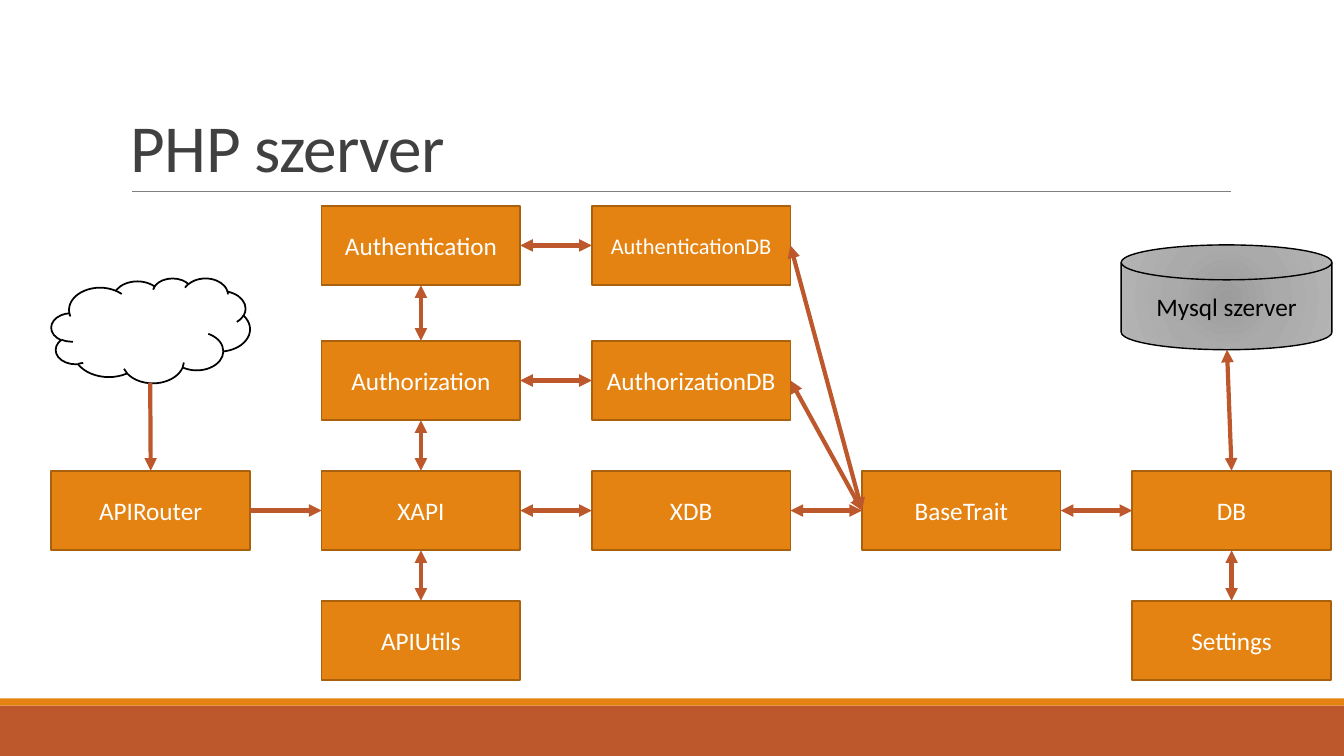
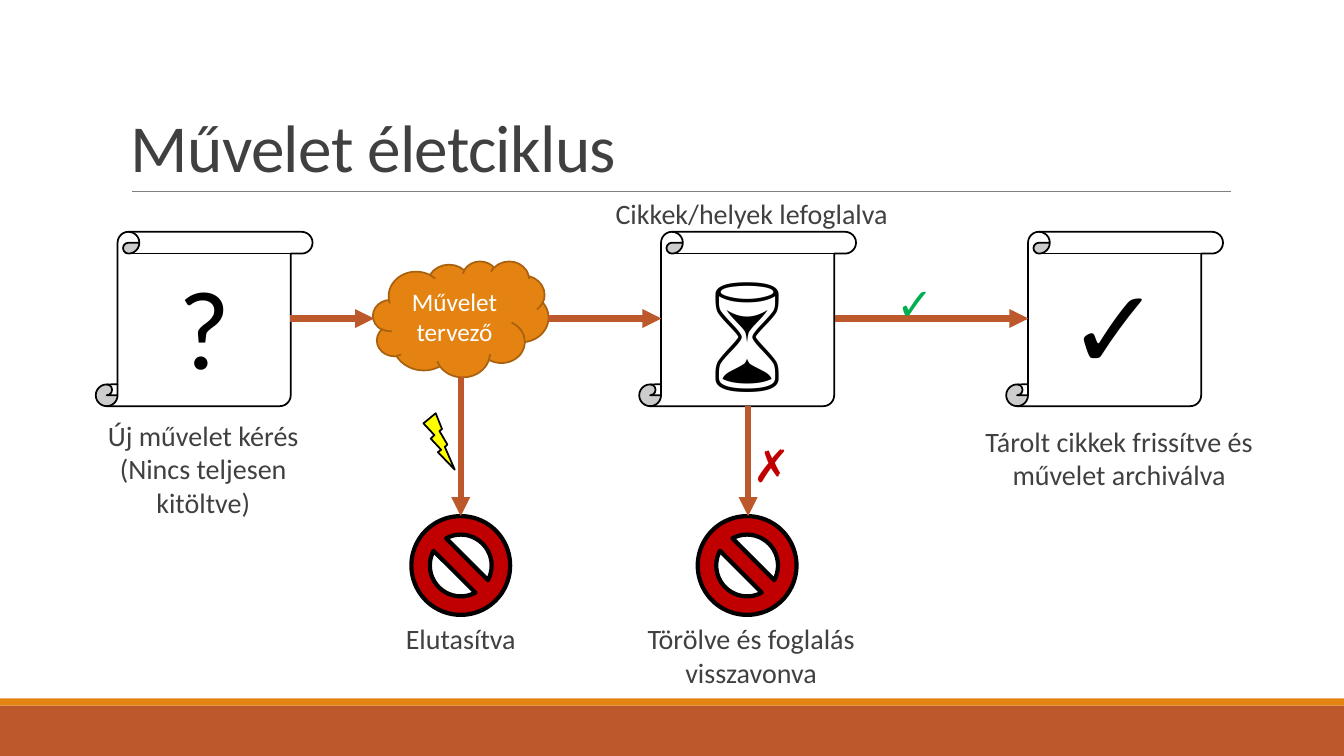
from pptx import Presentation
from pptx.dml.color import RGBColor
from pptx.enum.shapes import MSO_CONNECTOR, MSO_SHAPE
from pptx.enum.text import MSO_ANCHOR, PP_ALIGN
from pptx.oxml import parse_xml
from pptx.oxml.ns import nsdecls, qn
from pptx.util import Inches, Pt

TOP, LEFT, BOTTOM, RIGHT = range(4)


def color(value):
    return RGBColor.from_string(value)


def inches(values):
    return [Inches(value) for value in values]


class Deck:
    FONT = "Calibri"
    ORANGE, RUST, BROWN = "E48312", "BD582C", "A9610D"
    WHITE, BLACK, TEXT, GRAY = "FFFFFF", "000000", "404040", "808080"
    RED, GREEN, YELLOW = "C00000", "00B050", "FFFF00"

    def __init__(self):
        self.presentation = Presentation()
        self.presentation.slide_width = Inches(13.33)
        self.presentation.slide_height = Inches(7.5)
        self.slide = None

    def add_slide(self, title):
        self.slide = self.presentation.slides.add_slide(self.presentation.slide_layouts[6])
        self.shape(MSO_SHAPE.RECTANGLE, (0, 7, 13.33, 0.5), self.RUST)
        self.shape(MSO_SHAPE.RECTANGLE, (0, 6.93, 13.33, 0.07), self.ORANGE)
        self.line((1.31, 1.9), (12.21, 1.9), self.GRAY, 0.5)
        heading = self.label(title, (1.2, 0.31, 11, 1.59), size=48, align=PP_ALIGN.LEFT,
                             anchor=MSO_ANCHOR.BOTTOM)
        paragraph = heading.text_frame.paragraphs[0]
        paragraph.line_spacing = 0.85
        paragraph.runs[0].font._element.set("spc", "-50")

    def set_text(self, shape, text, ink, size, bold=False, align=PP_ALIGN.CENTER,
                 anchor=MSO_ANCHOR.MIDDLE):
        frame = shape.text_frame
        frame.text = text
        for name, value in {"word_wrap": True, "vertical_anchor": anchor}.items():
            setattr(frame, name, value)
        font_values = {"name": self.FONT, "size": Pt(size), "bold": bold}
        for paragraph in frame.paragraphs:
            paragraph.alignment = align
            for run in paragraph.runs:
                for name, value in font_values.items():
                    setattr(run.font, name, value)
                run.font.color.rgb = color(ink)

    def shape(self, kind, at, fill, outline=None, width=1.25, text="", ink=WHITE, size=18):
        shape = self.slide.shapes.add_shape(kind, *inches(at))
        shape.shadow.inherit = False
        shape.fill.solid()
        shape.fill.fore_color.rgb = color(fill)
        if outline:
            shape.line.color.rgb = color(outline)
            shape.line.width = Pt(width)
        else:
            shape.line.fill.background()
        if text:
            self.set_text(shape, text, ink, size)
        return shape

    def label(self, text, at, ink=TEXT, size=20, anchor=MSO_ANCHOR.TOP, **style):
        box = self.slide.shapes.add_textbox(*inches(at))
        self.set_text(box, text, ink, size, anchor=anchor, **style)
        return box

    def line(self, begin, end, ink, width):
        connector = self.slide.shapes.add_connector(MSO_CONNECTOR.STRAIGHT,
                                                    *inches(begin + end))
        connector.line.color.rgb = color(ink)
        connector.line.width = Pt(width)
        connector._element.spPr.append(parse_xml(f"<a:effectLst {nsdecls('a')}/>"))
        return connector

    def arrow(self, begin, end, width=3, both=False):
        connector = self.line(begin, end, self.RUST, width)
        outline = connector.line._get_or_add_ln()
        for tag in ("headEnd", "tailEnd") if both else ("tailEnd",):
            outline.append(parse_xml(f'<a:{tag} {nsdecls("a")} type="triangle"/>'))
        return connector

    def link(self, first, first_side, second, second_side, both=True):
        connector = self.arrow((0, 0), (1, 1), both=both)
        connector.begin_connect(first, first_side)
        connector.end_connect(second, second_side)

    def radial_fill(self, shape, stops):
        stop_list = "".join(f'<a:gs pos="{position * 1000}"><a:srgbClr val="{value}"/></a:gs>'
                            for position, value in stops)
        gradient = parse_xml(
            f'<a:gradFill {nsdecls("a")} rotWithShape="1"><a:gsLst>{stop_list}</a:gsLst>'
            '<a:path path="circle"><a:fillToRect l="50000" t="50000" r="50000" b="50000"/>'
            '</a:path></a:gradFill>')
        properties = shape._element.spPr
        properties.replace(properties.find(qn("a:solidFill")), gradient)


def add_server_slide(deck):
    deck.add_slide("PHP szerver")
    row_tops = (2.04, 3.38, 4.67, 5.96)
    modules = {
        "APIRouter": (0, 2), "XAPI": (1, 2), "XDB": (2, 2), "BaseTrait": (3, 2), "DB": (4, 2),
        "Authentication": (1, 0), "AuthenticationDB": (2, 0),
        "Authorization": (1, 1), "AuthorizationDB": (2, 1),
        "APIUtils": (1, 3), "Settings": (4, 3),
    }
    boxes = {}
    for name, (column, row) in modules.items():
        at = (0.51 + 2.68 * column, row_tops[row], 1.97, 0.79)
        boxes[name] = deck.shape(MSO_SHAPE.RECTANGLE, at, deck.ORANGE, deck.BROWN, text=name,
                                 size=16 if name == "AuthenticationDB" else 18)

    deck.shape(MSO_SHAPE.CLOUD, (0.51, 2.76, 1.97, 1.04), deck.WHITE, deck.BLACK)
    database = deck.shape(MSO_SHAPE.FLOWCHART_MAGNETIC_DISK, (11.12, 2.43, 2.09, 1.04), "AAAAAA",
                          deck.BLACK, 1, "Mysql szerver", deck.BLACK)
    deck.radial_fill(database, ((0, "9C9C9C"), (45, "AAAAAA"), (100, "B4B4B4")))

    deck.arrow((1.49, 3.8), (1.5, 4.67)).end_connect(boxes["APIRouter"], TOP)
    deck.arrow((12.22, 4.67), (12.17, 3.47), both=True).begin_connect(boxes["DB"], TOP)
    deck.link(boxes["APIRouter"], RIGHT, boxes["XAPI"], LEFT, both=False)
    across = (("Authentication", "AuthenticationDB"), ("Authorization", "AuthorizationDB"),
              ("XAPI", "XDB"), ("XDB", "BaseTrait"), ("BaseTrait", "DB"),
              ("AuthorizationDB", "BaseTrait"), ("AuthenticationDB", "BaseTrait"))
    down = (("Authentication", "Authorization"), ("Authorization", "XAPI"),
            ("XAPI", "APIUtils"), ("DB", "Settings"))
    for pairs, begin_side, end_side in ((across, RIGHT, LEFT), (down, BOTTOM, TOP)):
        for first, second in pairs:
            deck.link(boxes[first], begin_side, boxes[second], end_side)


def add_lifecycle_slide(deck):
    deck.add_slide("Művelet életciklus")
    for left, symbol in ((0.95, "?"), (6.34, "⌛"), (9.98, "✓")):
        deck.shape(MSO_SHAPE.VERTICAL_SCROLL, (left, 2.3, 2.15, 1.73), deck.WHITE, deck.BLACK,
                   text=symbol, ink=deck.BLACK, size=80)
    for left in (4.08, 6.92):
        deck.shape(MSO_SHAPE.NO_SYMBOL, (left, 5.12, 0.98, 0.98), deck.RED, deck.BLACK, 3)
    deck.shape(MSO_SHAPE.CLOUD, (3.7, 2.59, 1.74, 1.15), deck.ORANGE, deck.BROWN,
               text="Művelet tervező")
    deck.shape(MSO_SHAPE.LIGHTNING_BOLT, (4.2, 4.1, 0.31, 0.56), deck.YELLOW, deck.BLACK)

    for begin, end in ((2.88, 3.71), (5.44, 6.56), (8.28, 10.2)):
        deck.arrow((begin, 3.16), (end, 3.16), 4.5)
    for center, begin in ((4.57, 3.74), (7.42, 4.03)):
        deck.arrow((center, begin), (center, 5.12), 4.5)

    captions = (
        ("Új művelet kérés\n(Nincs teljesen kitöltve)", (0.94, 4.1, 2.15, 1.11)),
        ("Elutasítva", (3.88, 6.12, 1.38, 0.44)),
        ("Törölve és foglalás visszavonva", (5.95, 6.12, 3, 0.77)),
        ("Tárolt cikkek frissítve és művelet archiválva", (9.63, 4.16, 2.94, 0.77)),
        ("Cikkek/helyek lefoglalva", (5.76, 1.9, 3.39, 0.44)),
    )
    for text, at in captions:
        deck.label(text, at)
    deck.label("✓", (8.49, 2.69, 1.17, 0.64), deck.GREEN, 32, bold=True)
    deck.label("✗", (7.37, 4.29, 0.54, 0.64), deck.RED, 32, bold=True)


def main():
    deck = Deck()
    add_server_slide(deck)
    add_lifecycle_slide(deck)
    deck.presentation.save("out.pptx")


if __name__ == "__main__":
    main()
